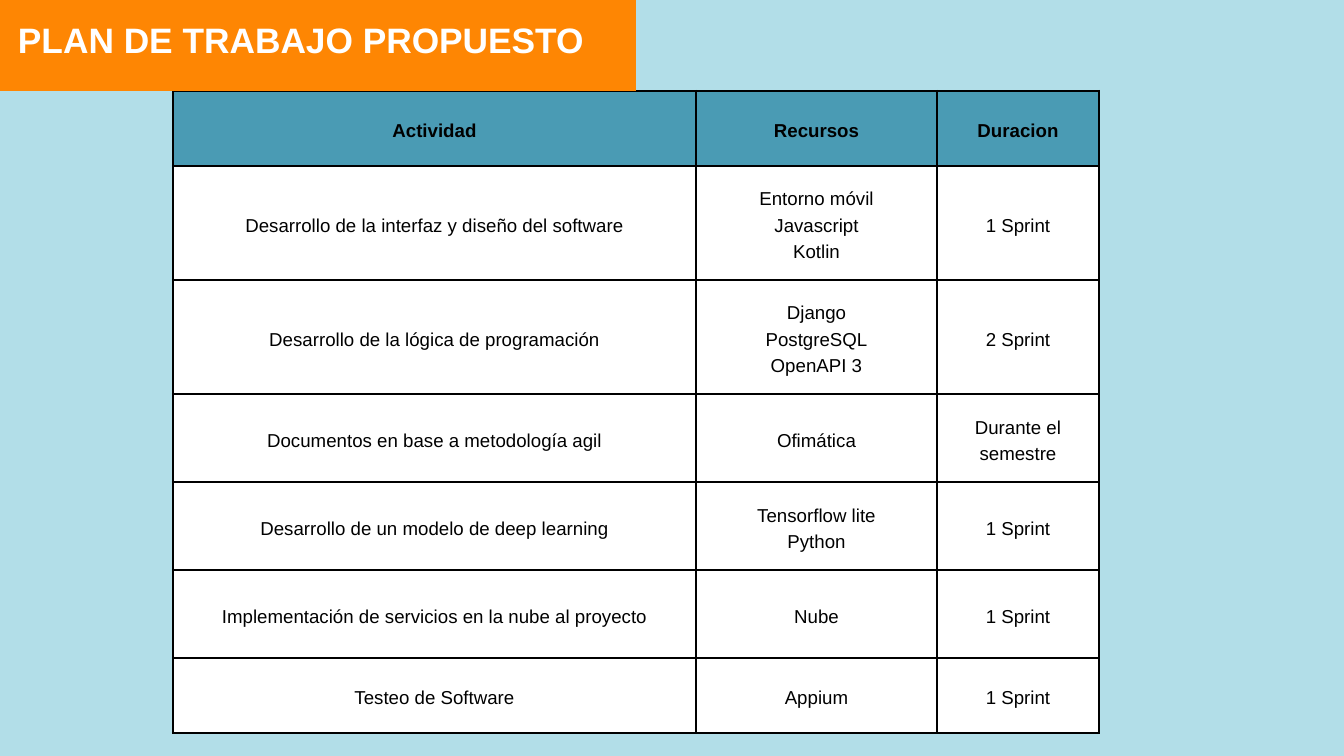
import pptx
import pptx.dml.color
import pptx.enum.shapes
import pptx.enum.text
import pptx.oxml
import pptx.oxml.ns
import pptx.util

RGBColor = pptx.dml.color.RGBColor
ALIGN = pptx.enum.text.PP_ALIGN
ANCHOR = pptx.enum.text.MSO_ANCHOR
Pt = pptx.util.Pt

SKY = RGBColor(0xB2, 0xDE, 0xE8)
ORANGE = RGBColor(0xFE, 0x86, 0x03)
TEAL = RGBColor(0x4A, 0x9B, 0xB4)
WHITE = RGBColor(0xFF, 0xFF, 0xFF)
BLACK = RGBColor(0, 0, 0)

FONT = "Arial"
EMU_PER_PX = 914400 / 67.2

COLUMNS = [523, 241, 162]
ROWS = [75, 114, 114, 88, 88, 88, 75]
PLAN = [
    ("Actividad", "Recursos", "Duracion"),
    ("Desarrollo de la interfaz y diseño del software",
     "Entorno móvil\nJavascript\nKotlin", "1 Sprint"),
    ("Desarrollo de la lógica de programación",
     "Django\nPostgreSQL\nOpenAPI 3", "2 Sprint"),
    ("Documentos en base a metodología agil", "Ofimática", "Durante el semestre"),
    ("Desarrollo de un modelo de deep learning", "Tensorflow lite\nPython", "1 Sprint"),
    ("Implementación de servicios en la nube al proyecto", "Nube", "1 Sprint"),
    ("Testeo de Software", "Appium", "1 Sprint"),
]


def px(length):
    return pptx.util.Emu(round(length * EMU_PER_PX))


def set_margins(target, margin):
    target.margin_left = target.margin_right = margin
    target.margin_top = target.margin_bottom = margin


def format_paragraph(paragraph, size, color, bold, spacing, align):
    paragraph.alignment = align
    paragraph.line_spacing = Pt(spacing)
    for run in paragraph.runs:
        run.font.name = FONT
        run.font.size = Pt(size)
        run.font.bold = bold
        run.font.color.rgb = color


def add_borders(cell, color, width):
    properties = cell._tc.get_or_add_tcPr()
    for side in ("lnL", "lnR", "lnT", "lnB"):
        properties.append(pptx.oxml.parse_xml(
            f'<a:{side} {pptx.oxml.ns.nsdecls("a")} w="{Pt(width)}">'
            f'<a:solidFill><a:srgbClr val="{color}"/></a:solidFill></a:{side}>'))


def add_heading(slide, left, top, width, height):
    # Orange banner
    banner = slide.shapes.add_shape(
        pptx.enum.shapes.MSO_SHAPE.RECTANGLE, px(left), px(top), px(width), px(height))
    banner.shadow.inherit = False
    banner.fill.solid()
    banner.fill.fore_color.rgb = ORANGE
    banner.line.fill.background()

    # Title, brought in front of the banner
    heading = slide.shapes.title
    heading.left, heading.top = px(left + 54), px(top + 26)
    heading.width, heading.height = px(width - 18), px(48)
    slide.shapes._spTree.append(heading._element)
    frame = heading.text_frame
    frame.text = "PLAN DE TRABAJO PROPUESTO"
    frame.word_wrap = True
    frame.auto_size = pptx.enum.text.MSO_AUTO_SIZE.NONE
    frame.vertical_anchor = ANCHOR.TOP
    set_margins(frame, 0)
    format_paragraph(frame.paragraphs[0], 37.8, WHITE, True, 52.9, ALIGN.LEFT)


def add_plan(slide, left, top, width, height):
    plan = slide.shapes.add_table(
        len(ROWS), len(COLUMNS), px(left), px(top), px(width), px(height)).table
    for column, share in zip(plan.columns, COLUMNS):
        column.width = px(width * share / sum(COLUMNS))
    for row, share in zip(plan.rows, ROWS):
        row.height = px(height * share / sum(ROWS))

    for row_index, entries in enumerate(PLAN):
        is_header = row_index == 0
        for column_index, entry in enumerate(entries):
            cell = plan.cell(row_index, column_index)
            cell.text_frame.text = entry
            cell.vertical_anchor = ANCHOR.MIDDLE
            set_margins(cell, px(14))
            add_borders(cell, BLACK, 3)
            cell.fill.solid()
            cell.fill.fore_color.rgb = TEAL if is_header else WHITE
            for paragraph in cell.text_frame.paragraphs:
                format_paragraph(paragraph, 20, BLACK, is_header, 28, ALIGN.CENTER)


def main():
    presentation = pptx.Presentation()
    presentation.slide_width, presentation.slide_height = px(1344), px(756)
    slide = presentation.slides.add_slide(presentation.slide_layouts[5])
    slide.background.fill.solid()
    slide.background.fill.fore_color.rgb = SKY
    add_plan(slide, 173, 91, sum(COLUMNS), sum(ROWS))
    add_heading(slide, -36, -15, 672, 106)
    presentation.save("out.pptx")


if __name__ == "__main__":
    main()
